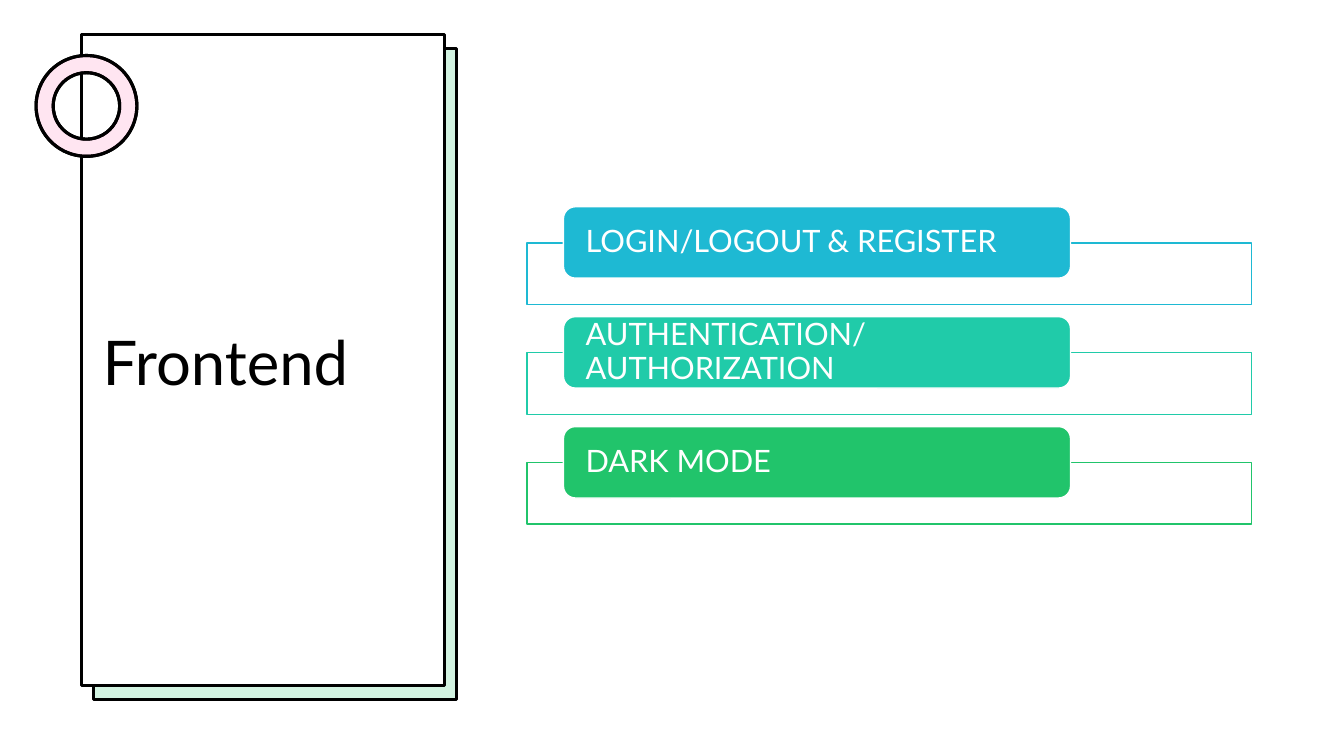
from dataclasses import dataclass
from typing import Optional

from lxml.etree import SubElement
from pptx import Presentation
from pptx.dml.color import RGBColor
from pptx.enum.shapes import MSO_SHAPE as Preset
from pptx.enum.text import MSO_ANCHOR as Anchor, PP_ALIGN as Align
from pptx.oxml.ns import qn
from pptx.shapes.autoshape import Shape
from pptx.slide import Slide
from pptx.util import Cm, Pt

WHITE = RGBColor(0xFF, 0xFF, 0xFF)
BLACK = RGBColor(0x00, 0x00, 0x00)
PINK = RGBColor(0xFF, 0x80, 0xBD)
CYAN = RGBColor(0x1E, 0xB9, 0xD3)
TEAL = RGBColor(0x20, 0xCB, 0xA9)
GREEN = RGBColor(0x21, 0xC4, 0x6B)

FONT = "Lato"
FIRST_ROW_TOP = 5.21
ROW_STEP = 2.77


@dataclass(frozen=True)
class Area:
    left: float
    top: float
    width: float
    height: float

    def lengths(self) -> tuple[Cm, Cm, Cm, Cm]:
        return Cm(self.left), Cm(self.top), Cm(self.width), Cm(self.height)


@dataclass(frozen=True)
class Panel:
    area: Area
    fill: RGBColor
    line: Optional[RGBColor] = None
    weight: float = 2.25
    opacity: int = 100
    preset: Preset = Preset.RECTANGLE
    adjustment: Optional[float] = None


@dataclass(frozen=True)
class Feature:
    label: str
    color: RGBColor


RING = Area(0.91, 1.4, 2.54, 2.54)
CARD_PANELS = [
    Panel(Area(2.34, 1.24, 9.14, 16.41), WHITE),
    Panel(Area(2.36, 1.22, 9.14, 16.41), GREEN, BLACK, opacity=20),
    Panel(Area(2.06, 0.86, 9.14, 16.41), WHITE, BLACK),
    Panel(RING, WHITE, BLACK, preset=Preset.DONUT, adjustment=0.17),
    Panel(RING, PINK, BLACK, opacity=20, preset=Preset.DONUT, adjustment=0.17),
]
FEATURES = [
    Feature("LOGIN/LOGOUT & REGISTER", CYAN),
    Feature("AUTHENTICATION/AUTHORIZATION", TEAL),
    Feature("DARK MODE", GREEN),
]


def draw_panel(page: Slide, panel: Panel) -> Shape:
    shape = page.shapes.add_shape(panel.preset, *panel.area.lengths())
    shape.shadow.inherit = False
    if panel.adjustment is not None:
        shape.adjustments[0] = panel.adjustment
    shape.fill.solid()
    shape.fill.fore_color.rgb = panel.fill
    if panel.opacity < 100:
        color = shape.fill._xPr.find(qn("a:solidFill"))[0]
        SubElement(color, qn("a:alpha")).set("val", str(panel.opacity * 1000))
    if panel.line is None:
        shape.line.fill.background()
    else:
        shape.line.color.rgb = panel.line
        shape.line.width = Pt(panel.weight)
    return shape


def draw_text(page: Slide, area: Area, text: str, size: int,
              color: RGBColor, side: float, edge: float) -> None:
    box = page.shapes.add_textbox(*area.lengths())
    frame = box.text_frame
    frame.word_wrap = True
    frame.vertical_anchor = Anchor.MIDDLE
    frame.margin_left = frame.margin_right = Cm(side)
    frame.margin_top = frame.margin_bottom = Cm(edge)
    frame.text = text
    para = frame.paragraphs[0]
    para.alignment = Align.LEFT
    para.line_spacing = 0.9
    span = para.runs[0]
    span.font.name = FONT
    span.font.size = Pt(size)
    span.font.color.rgb = color


def draw_feature(page: Slide, feature: Feature, top: float) -> None:
    frame_area = Area(13.28, top + 0.91, 18.26, 1.55)
    pill_area = Area(14.2, top, 12.78, 1.8)
    label_area = Area(14.28, top + 0.09, 12.6, 1.63)
    draw_panel(page, Panel(frame_area, WHITE, feature.color, 1, 90))
    draw_panel(page, Panel(pill_area, feature.color, WHITE, 1,
                           preset=Preset.ROUNDED_RECTANGLE))
    draw_text(page, label_area, feature.label, 22, WHITE, 0.48, 0)


def main() -> None:
    deck = Presentation()
    deck.slide_width, deck.slide_height = Cm(33.87), Cm(19.05)
    page = deck.slides.add_slide(deck.slide_layouts[6])
    page.background.fill.solid()
    page.background.fill.fore_color.rgb = WHITE
    for panel in CARD_PANELS:
        draw_panel(page, panel)
    draw_text(page, Area(2.34, 3.33, 8.64, 11.76), "Frontend", 44, BLACK, 0.25, 0.13)
    for row, feature in enumerate(FEATURES):
        draw_feature(page, feature, FIRST_ROW_TOP + row * ROW_STEP)
    deck.save("out.pptx")


if __name__ == "__main__":
    main()
